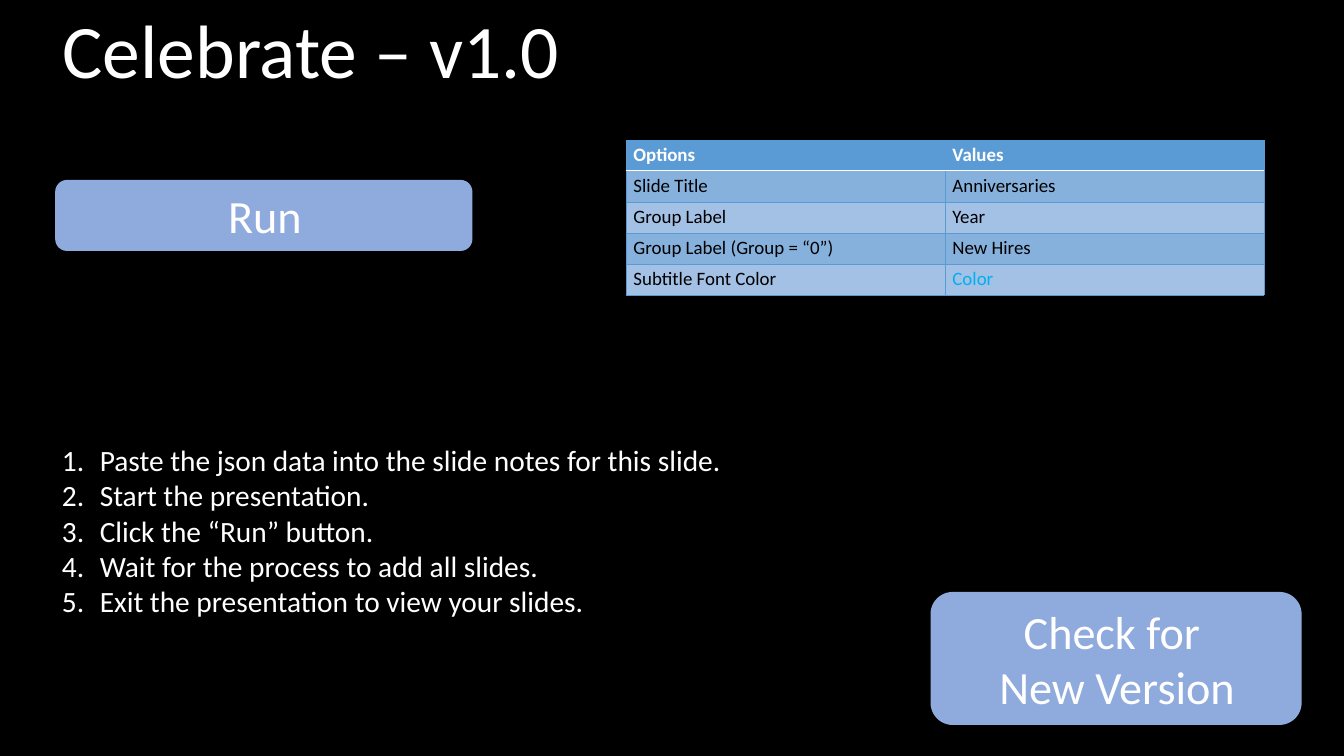
from pptx import Presentation
from pptx import util as u
from pptx.dml.color import RGBColor
from pptx.enum import shapes, text
from pptx.oxml import parse_xml
from pptx.oxml.ns import nsdecls

Inches, Pt = u.Inches, u.Pt
THEME = {
    "font": "Calibri",
    "black": "000000", "white": "FFFFFF", "button": "8FAADC",
    "accent": "5B9BD5", "band_dark": "86B1DC", "band_light": "A3C0E5", "sample": "00B0F0",
    "title": 72, "label": 44, "body": 28, "cell": 18,
}


def write(frame, lines, size, color, bold=False, align=text.PP_ALIGN.LEFT, **frame_format):
    """Fill a text frame, one paragraph per line, and return the paragraphs."""
    for name, value in {"word_wrap": True, **frame_format}.items():
        setattr(frame, name, value)
    for index, line in enumerate(lines):
        para = frame.paragraphs[0] if index == 0 else frame.add_paragraph()
        para.text = line
        para.alignment = align
        for span in para.runs:
            for name, value in {"name": THEME["font"], "size": Pt(THEME[size]), "bold": bold}.items():
                setattr(span.font, name, value)
            span.font.color.rgb = RGBColor.from_string(THEME[color])
    return frame.paragraphs


def add_border(cell, side, color, width):
    cell._tc.get_or_add_tcPr().append(parse_xml(
        f'<a:ln{side} {nsdecls("a")} w="{Pt(width)}"><a:solidFill>'
        f'<a:srgbClr val="{THEME[color]}"/></a:solidFill></a:ln{side}>'))


deck = Presentation()
deck.slide_width, deck.slide_height = Inches(17.78), Inches(10)
page = deck.slides.add_slide(deck.slide_layouts[6])
page.background.fill.solid()
page.background.fill.fore_color.rgb = RGBColor.from_string(THEME["black"])

left = Inches(0.73)
insets = {f"margin_{side}": Inches(0.06) for side in ("left", "right", "top", "bottom")}

# Title
title = page.shapes.add_textbox(left, Inches(0.12), Inches(15.1), Inches(1.2))
heading = write(title.text_frame, ["Celebrate – v1.0"], "title", "white",
                vertical_anchor=text.MSO_ANCHOR.MIDDLE)[0]
heading.line_spacing = 0.9

# Buttons
buttons = [
    ("Run", 0.73, 2.38, 5.52, 0.94),
    ("Check for \vNew Version", 12.31, 7.83, 4.91, 1.76),
]
for label, *place in buttons:
    button = page.shapes.add_shape(shapes.MSO_SHAPE.ROUNDED_RECTANGLE, *map(Inches, place))
    button.shadow.inherit = False
    button.fill.solid()
    button.fill.fore_color.rgb = RGBColor.from_string(THEME["button"])
    button.line.fill.background()
    para = write(button.text_frame, [label], "label", "white", align=text.PP_ALIGN.CENTER,
                 vertical_anchor=text.MSO_ANCHOR.MIDDLE, **insets)[0]
    para._p.get_or_add_pPr().set("marL", str(Inches(0.03)))

# Numbered instructions
steps = [
    "Paste the json data into the slide notes for this slide.",
    "Start the presentation.",
    "Click the “Run” button.",
    "Wait for the process to add all slides.",
    "Exit the presentation to view your slides.",
]
box = page.shapes.add_textbox(left, Inches(5.79), Inches(9.29), Inches(2.47))
for para in write(box.text_frame, steps, "body", "white", **insets):
    properties = para._p.get_or_add_pPr()
    properties.set("marL", str(Inches(0.53)))
    properties.set("indent", str(Inches(-0.5)))
    properties.append(parse_xml(f'<a:buAutoNum {nsdecls("a")} type="arabicPeriod"/>'))

# Options table
options = [
    ("Options", "Values"),
    ("Slide Title", "Anniversaries"),
    ("Group Label", "Year"),
    ("Group Label (Group = “0”)", "New Hires"),
    ("Subtitle Font Color", "Color"),
]
column_width, row_height = Inches(4.22), Inches(0.41)
table = page.shapes.add_table(len(options), 2, Inches(8.28), Inches(1.85),
                              2 * column_width, len(options) * row_height).table
for row, values in enumerate(options):
    header = row == 0
    fill = "accent" if header else "band_dark" if row % 2 else "band_light"
    for column, value in enumerate(values):
        cell = table.cell(row, column)
        color = "white" if header else "sample" if value == "Color" else "black"
        write(cell.text_frame, [value], "cell", color, bold=header)
        for side in "LRTB":
            under_header = (row, side) in ((0, "B"), (1, "T"))
            add_border(cell, side, *(("white", 1) if under_header else ("accent", 0.5)))
        cell.fill.solid()
        cell.fill.fore_color.rgb = RGBColor.from_string(THEME[fill])

deck.save("out.pptx")
